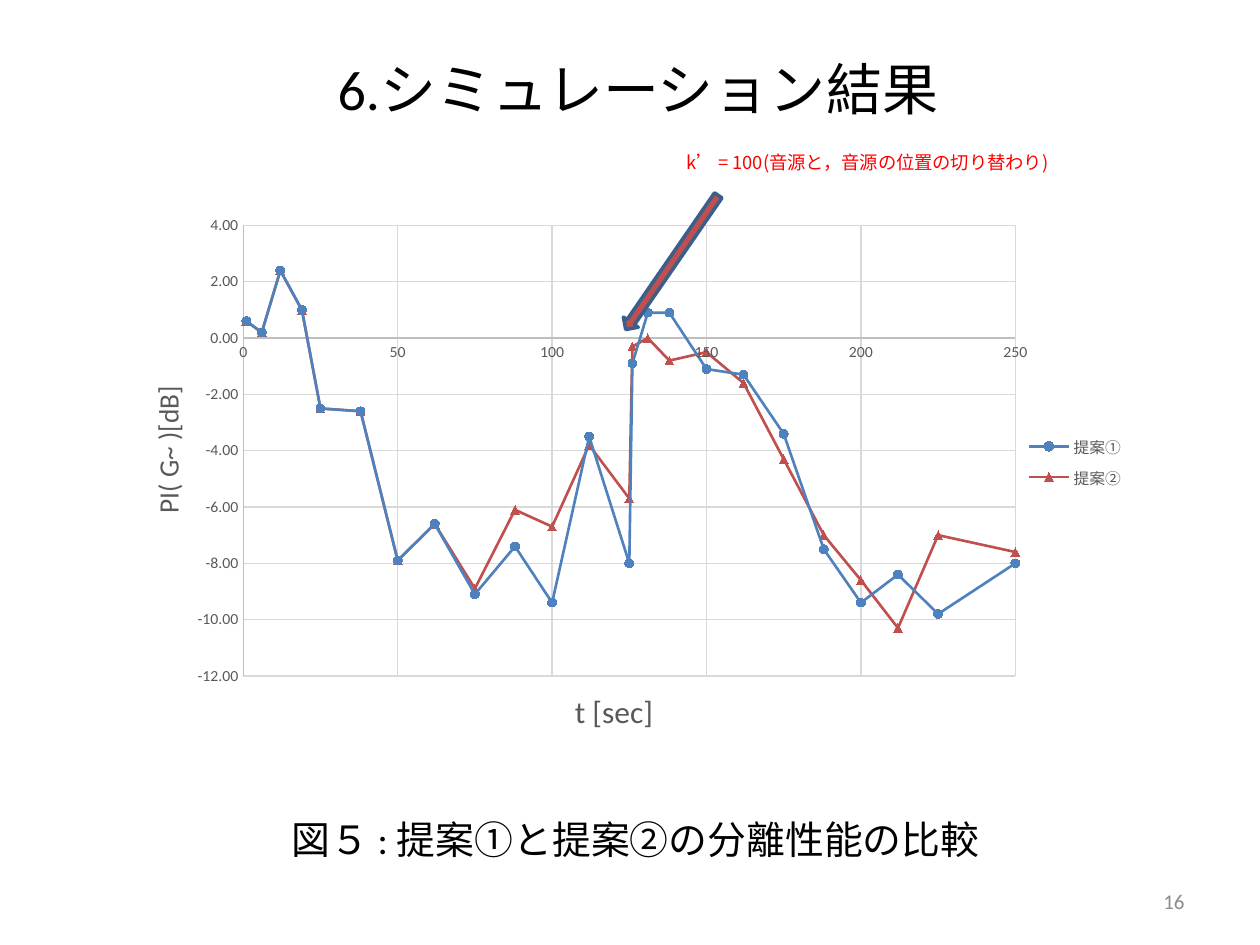
from lxml import etree
from pptx import Presentation
from pptx.chart.data import XyChartData
from pptx.dml.color import RGBColor
from pptx.enum.chart import XL_CHART_TYPE, XL_LEGEND_POSITION, XL_MARKER_STYLE, XL_TICK_MARK
from pptx.enum.shapes import MSO_SHAPE
from pptx.enum.text import MSO_ANCHOR, PP_ALIGN
from pptx.oxml.ns import qn
from pptx.util import Emu, Pt

PX = 914400 / 126
LATIN, JAPANESE = "Calibri", "Noto Sans CJK JP"
COLORS = {
    "text": "000000", "number": "8C8C8C", "callout": "FF0000", "white": "FFFFFF",
    "label": "595959", "axis": "BFBFBF", "grid": "D9D9D9",
    "blue": "4F81BD", "red": "C0504D", "arrow_edge": "3A5F8C",
}

TITLE = "6.シミュレーション結果"
CAPTION = "図５ : 提案①と提案②の分離性能の比較"
CALLOUT = "k’ = 100(音源と，音源の位置の切り替わり)"
PAGE_NUMBER = "16"

SECONDS = [1, 6, 12, 19, 25, 38, 50, 62, 75, 88, 100, 112,
           125, 126, 131, 138, 150, 162, 175, 188, 200, 212, 225, 250]
SERIES = [
    ("提案①", "blue", XL_MARKER_STYLE.CIRCLE,
     [0.6, 0.2, 2.4, 1, -2.5, -2.6, -7.9, -6.6, -9.1, -7.4, -9.4, -3.5,
      -8, -0.9, 0.9, 0.9, -1.1, -1.3, -3.4, -7.5, -9.4, -8.4, -9.8, -8]),
    ("提案②", "red", XL_MARKER_STYLE.TRIANGLE,
     [0.6, 0.2, 2.4, 1, -2.5, -2.6, -7.9, -6.6, -8.9, -6.1, -6.7, -3.8,
      -5.7, -0.3, 0, -0.8, -0.5, -1.6, -4.3, -7, -8.6, -10.3, -7, -7.6]),
]
# title, size, minimum, maximum, step, number format, title position
TIME_AXIS = ("t [sec]", 18, 0, 250, 50, "General", (0.43, 0.92))
INDEX_AXIS = ("PI( G~ )[dB]", 16, -12, 4, 2, "0.00", (0.01, 0.36))


def px(*lengths):
    return [Emu(round(length * PX)) for length in lengths]


def rgb(name):
    return RGBColor.from_string(COLORS[name])


def style_font(font, size, color, latin=LATIN):
    font.size, font.name, font.bold = Pt(size), latin, False
    font.color.rgb = rgb(color)


def style_line(line, color, width):
    line.color.rgb = rgb(color)
    line.width = Pt(width)


def write(shape, text, size, color, align, anchor=MSO_ANCHOR.TOP, latin=LATIN):
    frame = shape.text_frame
    frame.word_wrap = True
    frame.vertical_anchor = anchor
    frame.text = text
    paragraph = frame.paragraphs[0]
    paragraph.alignment = align
    run = paragraph.runs[0]
    style_font(run.font, size, color, latin)
    east_asian = etree.SubElement(run.font._element, qn("a:ea"))
    east_asian.set("typeface", JAPANESE)


def place(part, x, y, width=None, height=None, inner=False):
    """Fix a chart part's position, as fractions of the chart area."""
    for old in part.findall(qn("c:layout")):
        part.remove(old)
    layout = etree.Element(qn("c:layout"))
    manual = etree.SubElement(layout, qn("c:manualLayout"))
    settings = [("layoutTarget", "inner" if inner else None),
                ("xMode", "edge"), ("yMode", "edge"),
                ("x", x), ("y", y), ("w", width), ("h", height)]
    for tag, value in settings:
        if value is not None:
            etree.SubElement(manual, qn(f"c:{tag}")).set("val", str(value))
    overlay = part.find(qn("c:overlay"))
    part.insert(0 if overlay is None else part.index(overlay), layout)


def style_axis(axis, title, size, low, high, step, number_format, position):
    axis.minimum_scale, axis.maximum_scale, axis.major_unit = low, high, step
    axis.major_tick_mark = axis.minor_tick_mark = XL_TICK_MARK.NONE
    axis.has_major_gridlines = True
    style_line(axis.major_gridlines.format.line, "grid", 0.75)
    style_line(axis.format.line, "axis", 0.75)
    style_font(axis.tick_labels.font, 9, "label")
    axis.tick_labels.number_format = number_format
    axis.tick_labels.number_format_is_linked = False
    heading = axis.axis_title
    heading.text_frame.text = title
    style_font(heading.text_frame.paragraphs[0].runs[0].font, size, "label")
    place(heading._element, *position)


def add_comparison_chart(slide):
    data = XyChartData()
    for name, _, _, values in SERIES:
        points = data.add_series(name)
        for second, value in zip(SECONDS, values):
            points.add_data_point(second, value)
    chart = slide.shapes.add_chart(
        XL_CHART_TYPE.XY_SCATTER_LINES, *px(134, 190, 1012, 551), data).chart
    chart.has_title = False
    style_font(chart.font, 10, "text")
    style_axis(chart.category_axis, *TIME_AXIS)
    style_axis(chart.value_axis, *INDEX_AXIS)
    chart.value_axis.axis_title.text_frame._txBody.bodyPr.set("rot", "-5400000")

    plot = chart.plots[0]
    plot.vary_by_categories = False
    for series, (_, color, marker, _) in zip(plot.series, SERIES):
        series.smooth = False
        style_line(series.format.line, color, 1.5)
        series.marker.style, series.marker.size = marker, 5
        series.marker.format.fill.solid()
        series.marker.format.fill.fore_color.rgb = rgb(color)
        style_line(series.marker.format.line, color, 0.75)

    chart.has_legend = True
    chart.legend.position = XL_LEGEND_POSITION.RIGHT
    chart.legend.include_in_layout = False
    style_font(chart.legend.font, 9, "label")
    place(chart.legend._element, 0.87, 0.44, 0.12, 0.13)
    place(chart._chartSpace.chart.plotArea, 0.108, 0.066, 0.763, 0.837, inner=True)


def add_filled(slide, preset, box, color):
    shape = slide.shapes.add_shape(preset, *px(*box))
    shape.shadow.inherit = False
    shape.fill.solid()
    shape.fill.fore_color.rgb = rgb(color)
    return shape


def main():
    deck = Presentation()
    deck.slide_width, deck.slide_height = px(1260, 945)
    slide = deck.slides.add_slide(deck.slide_layouts[6])

    def add_text(box, *style):
        write(slide.shapes.add_textbox(*px(*box)), *style)

    add_text((74, 37, 1128, 102), TITLE, 32, "text", PP_ALIGN.CENTER, MSO_ANCHOR.MIDDLE)
    add_text((74, 806, 1123, 66), CAPTION, 22.2, "text", PP_ALIGN.CENTER, MSO_ANCHOR.MIDDLE)
    add_text((903, 876, 294, 50), PAGE_NUMBER, 12, "number", PP_ALIGN.RIGHT, MSO_ANCHOR.MIDDLE)

    callout = add_filled(slide, MSO_SHAPE.RECTANGLE, (669, 145, 397, 50), "white")
    callout.line.fill.background()
    write(callout, CALLOUT, 10.5, "callout", PP_ALIGN.JUSTIFY, latin=JAPANESE)
    callout.text_frame.margin_left, callout.text_frame.margin_right = px(17, 0)

    add_comparison_chart(slide)

    arrow = add_filled(slide, MSO_SHAPE.DOWN_ARROW, (663, 181, 18, 163), "red")
    style_line(arrow.line, "arrow_edge", 2)
    arrow.rotation = 34.6

    deck.save("out.pptx")


if __name__ == "__main__":
    main()
